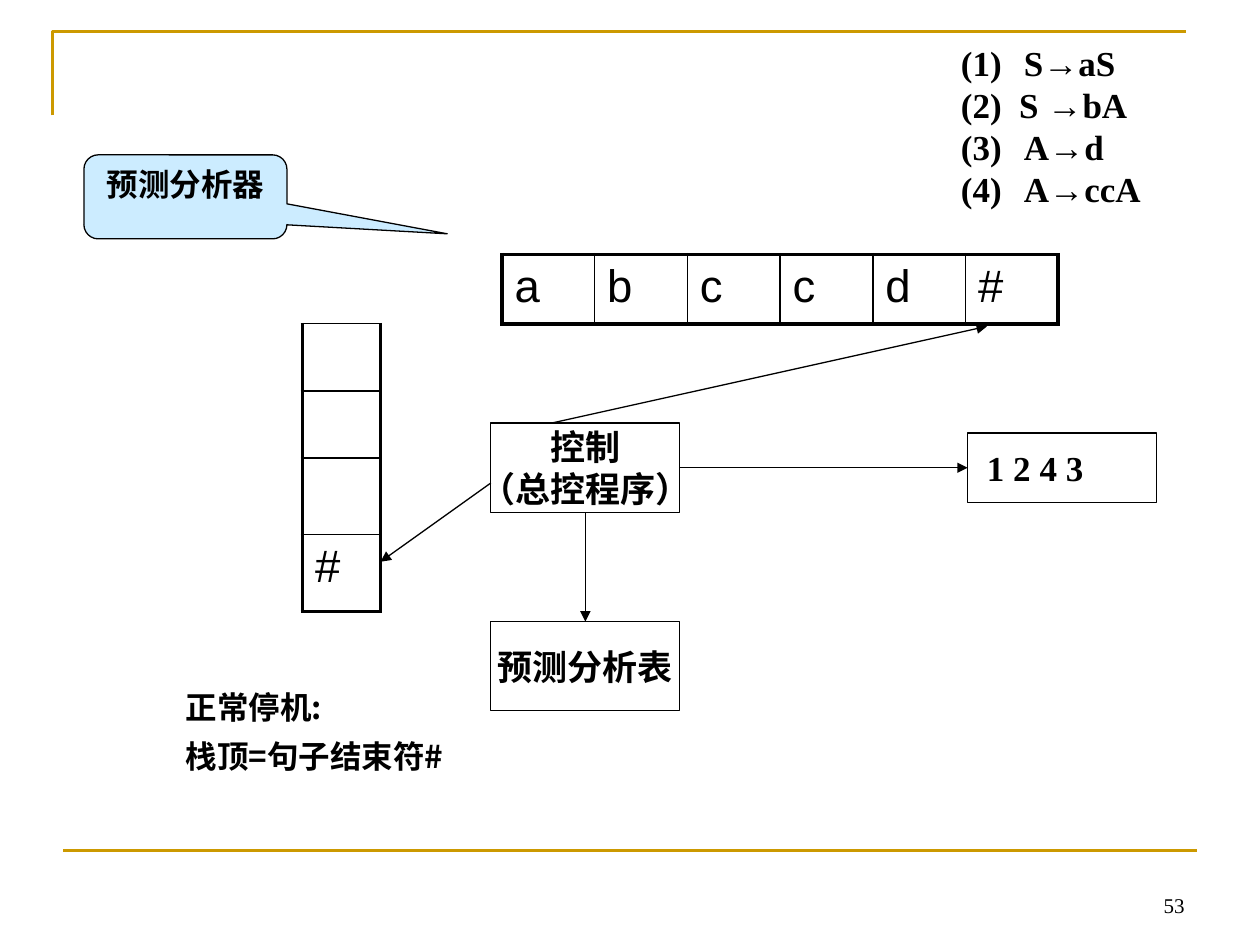
from lxml.etree import SubElement
from pptx import Presentation
from pptx.dml.color import RGBColor
from pptx.enum.shapes import MSO_CONNECTOR as Connector, MSO_SHAPE as Shape
from pptx.enum.text import MSO_ANCHOR as Anchor, PP_ALIGN as Align
from pptx.oxml.ns import qn
from pptx.util import Pt

COLORS = {"gold": "CC9900", "black": "000000", "white": "FFFFFF", "sky": "CCECFF"}
SERIF, SANS, CHINESE = "Times New Roman", "Arial", "Noto Sans CJK SC"
THIN, THICK = 1, 2.25


def color(name):
    """Return a named colour."""
    return RGBColor.from_string(COLORS[name])


def points(*values):
    """Convert numbers to point lengths."""
    return [Pt(value) for value in values]


def write(frame, lines, size, font, bold=True, align=Align.LEFT):
    """Fill a text frame with one paragraph per line."""
    frame.text = "\n".join(lines)
    for paragraph in frame.paragraphs:
        paragraph.alignment = align
        paragraph.font.size = Pt(size)
        paragraph.font.name = font
        paragraph.font.bold = bold
        paragraph.font.color.rgb = color("black")


def add_text(slide, box, lines, size, font, **style):
    """Add a wrapping text box and return its frame."""
    frame = slide.shapes.add_textbox(*points(*box)).text_frame
    frame.word_wrap = True
    write(frame, lines, size, font, **style)
    return frame


def add_box(slide, box, lines, kind=Shape.RECTANGLE, fill="white", size=20,
            font=SERIF, anchor=Anchor.MIDDLE, wrap=False, align=Align.CENTER):
    """Add an outlined shape with text."""
    shape = slide.shapes.add_shape(kind, *points(*box))
    shape.shadow.inherit = False
    shape.fill.solid()
    shape.fill.fore_color.rgb = color(fill)
    shape.line.color.rgb = color("black")
    shape.line.width = Pt(0.75)
    shape.text_frame.word_wrap = wrap
    shape.text_frame.vertical_anchor = anchor
    write(shape.text_frame, lines, size, font, align=align)
    return shape


def add_line(slide, ends=(0, 0, 0, 0), line_color="black", width=0.75):
    """Add a straight line without a shadow."""
    line = slide.shapes.add_connector(Connector.STRAIGHT, *points(*ends))
    line.line.color.rgb = color(line_color)
    line.line.width = Pt(width)
    SubElement(line._element.spPr, qn("a:effectLst"))
    return line


def add_arrow(slide, *ends):
    """Add a line with an arrowhead at its end."""
    arrow = add_line(slide, ends or (0, 0, 0, 0))
    SubElement(arrow.line._get_or_add_ln(), qn("a:tailEnd"), type="triangle")
    return arrow


def join(slide, start, start_side, end, end_side):
    """Join two boxes with an arrow."""
    arrow = add_arrow(slide)
    arrow.begin_connect(start, start_side)
    arrow.end_connect(end, end_side)


def set_borders(cell, widths):
    """Draw the left, right, top and bottom borders of a cell."""
    properties = cell._tc.get_or_add_tcPr()
    for side, width in zip("LRTB", widths):
        border = SubElement(properties, qn(f"a:ln{side}"), w=str(Pt(width)))
        fill = SubElement(border, qn("a:solidFill"))
        SubElement(fill, qn("a:srgbClr"), val=COLORS["black"])


def add_grid(slide, left, top, column_width, heights, rows, top_border=THICK):
    """Add a table with thick outer and thin inner borders."""
    columns = len(rows[0])
    size = points(left, top, column_width * columns, sum(heights))
    table = slide.shapes.add_table(len(rows), columns, *size).table
    table.first_row = table.horz_banding = False
    for column in table.columns:
        column.width = Pt(column_width)
    for i, (height, texts) in enumerate(zip(heights, rows)):
        table.rows[i].height = Pt(height)
        for j, text in enumerate(texts):
            cell = table.cell(i, j)
            set_borders(cell, (
                THICK if j == 0 else THIN,
                THICK if j == columns - 1 else THIN,
                top_border if i == 0 else THIN,
                THICK if i == len(rows) - 1 else THIN,
            ))
            cell.fill.background()
            if text:
                write(cell.text_frame, [text], 26, SANS, bold=False)


def add_frame(slide):
    """Add the gold corner, the bottom rule and the page number."""
    builder = slide.shapes.build_freeform(*points(30, 66))
    builder.add_line_segments([points(30, 18), points(678, 18)], close=False)
    corner = builder.convert_to_shape()
    corner.shadow.inherit = False
    corner.fill.background()
    corner.line.color.rgb = color("gold")
    corner.line.width = Pt(1.5)
    add_line(slide, (36, 486, 684, 486), "gold", 1.5)
    number = add_text(slide, (516, 492, 168, 36), ["53"], 12, SERIF,
                      bold=False, align=Align.RIGHT)
    number.vertical_anchor = Anchor.BOTTOM


def add_rules(slide):
    """Add the numbered grammar rules."""
    lines = ["S→aS", "(2)  S →bA", "A→d", "A→ccA"]
    frame = add_text(slide, (542, 20, 126, 104), lines, 20, SERIF)
    for paragraph, start in zip(frame.paragraphs, (1, None, 3, 3)):
        if start:
            properties = paragraph._p.get_or_add_pPr()
            properties.set("marL", str(Pt(36)))
            properties.set("indent", str(Pt(-36)))
            number = properties.makeelement(
                qn("a:buAutoNum"), {"type": "arabicParenBoth", "startAt": str(start)})
            properties.insert(0, number)


def main():
    """Build the predictive parser slide."""
    presentation = Presentation()
    presentation.slide_width, presentation.slide_height = points(720, 540)
    slide = presentation.slides.add_slide(presentation.slide_layouts[6])
    add_frame(slide)
    add_rules(slide)
    add_grid(slide, 286.8, 145.5, 53, [39.6], ["abccd#"])

    control = add_box(slide, (280.5, 241.8, 108, 51), ["控制", "（总控程序）"])
    parse_table = add_box(slide, (280.5, 355.2, 108, 51), ["预测分析表"])
    output = add_box(slide, (553, 247.5, 108, 39.6), ["1 2 4 3"],
                     wrap=True, align=Align.LEFT)
    output.text_frame.margin_left = Pt(11)
    join(slide, control, 3, output, 1)
    join(slide, control, 2, parse_table, 0)
    add_arrow(slide, 315, 241.8, 564, 186.5)
    add_arrow(slide, 280.5, 276, 217.5, 321)

    callout = add_box(slide, (48, 88.5, 116, 48), ["预测分析器"],
                      Shape.ROUNDED_RECTANGULAR_CALLOUT, "sky", 18, CHINESE,
                      Anchor.TOP, wrap=True)
    for i, value in enumerate((1.29, 0.44, 0.17)):
        callout.adjustments[i] = value

    add_grid(slide, 172.8, 185, 44.6, [38.4, 38.4, 43.8, 43.8],
             [[""], [""], [""], ["#"]], top_border=THIN)
    halt = add_text(slide, (99, 383, 164, 61), ["正常停机:", "栈顶=句子结束符#"],
                    18, CHINESE)
    for paragraph in halt.paragraphs:
        paragraph.line_spacing = 1.3
    presentation.save("out.pptx")


if __name__ == "__main__":
    main()
